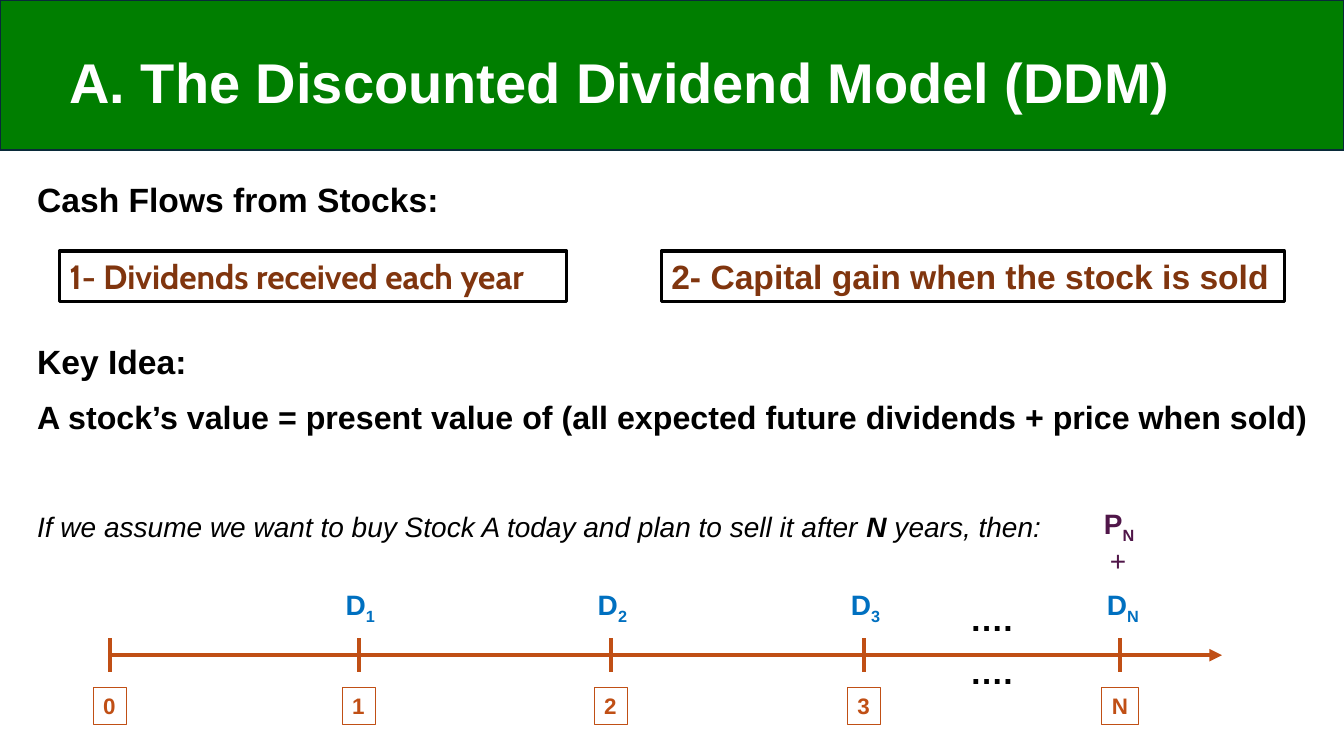
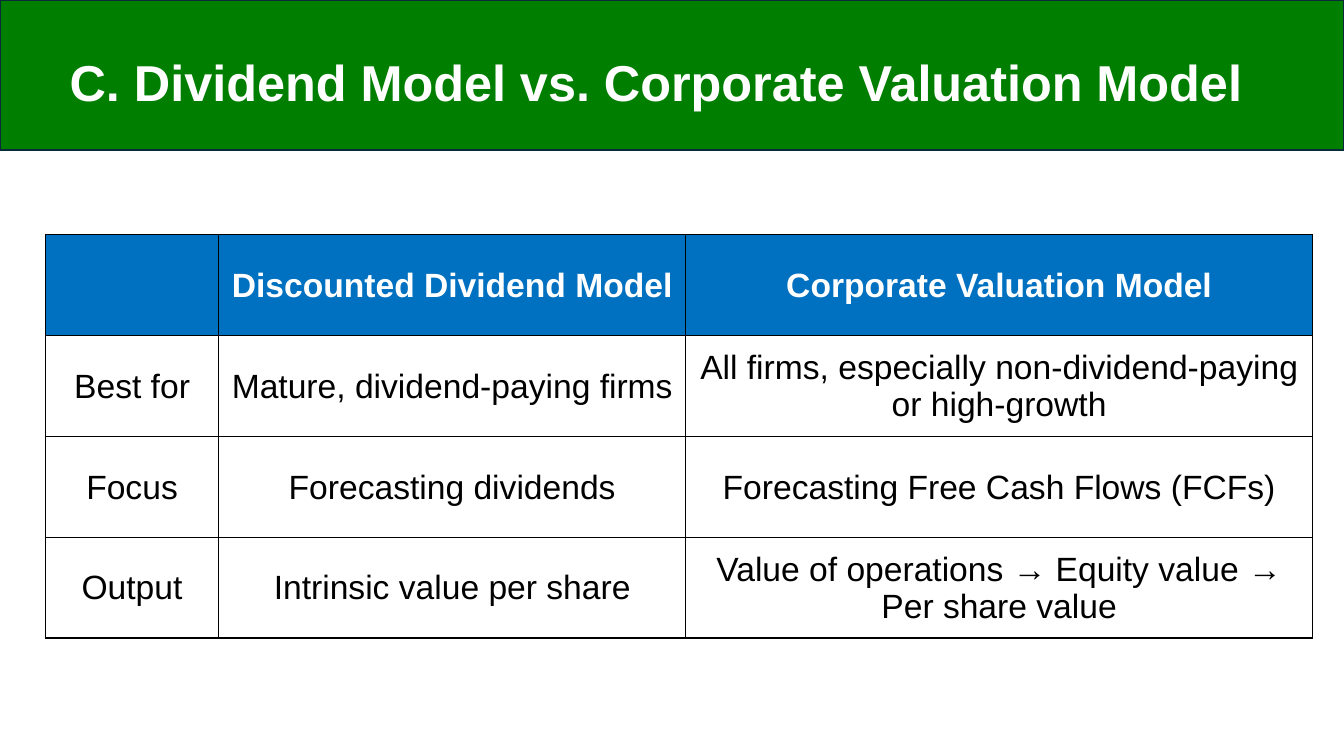
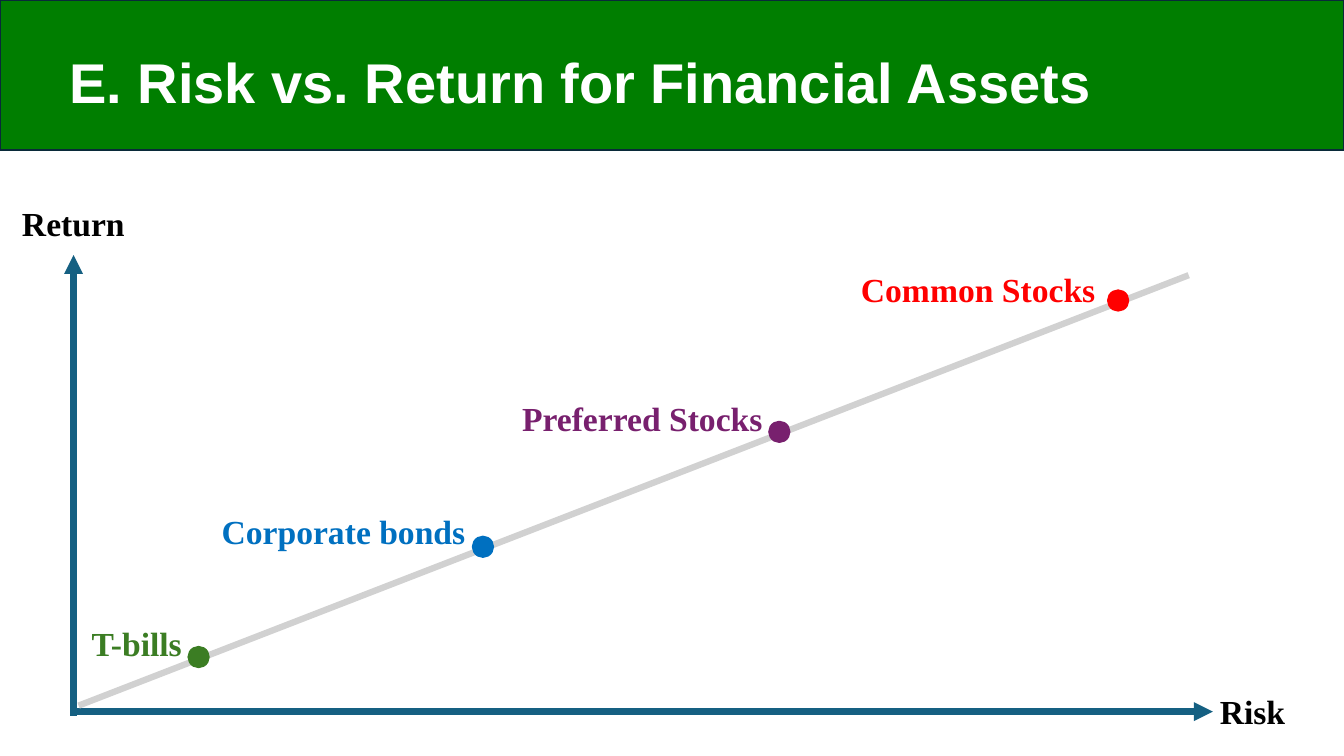
from lxml.etree import SubElement as Sub
from pptx import Presentation as Deck
from pptx.dml.color import RGBColor as RGB
from pptx.enum.shapes import MSO_CONNECTOR as Link, MSO_SHAPE as Form
from pptx.enum.text import MSO_ANCHOR as Anchor, MSO_AUTO_SIZE as Fit, PP_ALIGN as Align
from pptx.oxml.ns import qn
from pptx.util import Inches, Pt

GREEN = RGB(0x00, 0x7E, 0x00)
NAVY = RGB(0x09, 0x2A, 0x39)
WHITE = RGB(0xFF, 0xFF, 0xFF)
BLACK = RGB(0x00, 0x00, 0x00)
BROWN = RGB(0x80, 0x35, 0x0E)
RUST = RGB(0xC0, 0x4F, 0x15)
BLUE = RGB(0x00, 0x70, 0xC0)
PLUM = RGB(0x50, 0x16, 0x49)
TEAL = RGB(0x15, 0x60, 0x82)
GRAY = RGB(0xD1, 0xD1, 0xD1)
LEAF = RGB(0x3B, 0x7D, 0x23)
PURPLE = RGB(0x78, 0x20, 0x6E)
RED = RGB(0xFF, 0x00, 0x00)

HEAD = dict(name="Arial", size=Pt(24), bold=True, color=BLACK)
CASH = HEAD | dict(color=BROWN)
IDEA = HEAD | dict(size=Pt(23))
NOTE = HEAD | dict(size=Pt(20), bold=False, italic=True)
PAY = HEAD | dict(size=Pt(20), color=BLUE)
SALE = PAY | dict(color=PLUM)
YEAR = HEAD | dict(size=Pt(16), color=RUST)
AXIS = HEAD | dict(name="Times New Roman")
BODY = HEAD | dict(bold=False)
SUB = dict(base="-25000")

TITLES = [
    ("A. The Discounted Dividend Model (DDM)", 40),
    ("C. Dividend Model vs. Corporate Valuation Model", 36),
    ("E. Risk vs. Return for Financial Assets", 40),
]

FLOWS = [
    ("1- Dividends received each year", (0.59, 2.49, 5.03, 0.5), CASH | dict(name="Cabin")),
    ("2- Capital gain when the stock is sold", (6.56, 2.49, 6.18, 0.5), CASH),
]
PLAN = [
    ("If we assume we want to buy Stock A today and plan to sell it after ", NOTE),
    ("N ", NOTE | dict(bold=True)),
    ("years, then:", NOTE),
]
TICKS = [("0", 1.09), ("1", 3.56), ("2", 6.06), ("3", 8.57), ("N", 11.11)]

ROWS = [
    ("", "Discounted Dividend Model", "Corporate Valuation Model"),
    ("Best for", "Mature, dividend-paying firms",
     "All firms, especially non-dividend-paying or high-growth"),
    ("Focus", "Forecasting dividends", "Forecasting Free Cash Flows (FCFs)"),
    ("Output", "Intrinsic value per share",
     "Value of operations → Equity value → Per share value"),
]
COLS = [1.72, 4.63, 6.22]

ASSETS = [
    ("T-bills", LEAF, 1.97, (0.81, 6.13, 1.11, 0.5)),
    ("Corporate bonds", BLUE, 4.79, (2.1, 5.02, 2.64, 0.5)),
    ("Preferred Stocks", PURPLE, 7.73, (5.08, 3.9, 2.61, 0.5)),
    ("Common Stocks", RED, 11.09, (8.44, 2.62, 2.55, 0.5)),
]
TREND = (0.78, 6.98), (11.79, 2.71)
DOT = 0.2


def inch(vals):
    return [Inches(v) for v in vals]


def style(run, form):
    for key, val in form.items():
        if key == "color":
            run.font.color.rgb = val
        elif key == "base":
            run.font._element.set("baseline", val)
        else:
            setattr(run.font, key, val)


def write(para, runs):
    for text, form in runs:
        run = para.add_run()
        run.text = text
        style(run, form)


def edge(shape, color, width):
    shape.line.color.rgb = color
    shape.line.width = Pt(width)


def label(slide, at, *paras, wrap=False, gap=0):
    box = slide.shapes.add_textbox(*inch(at))
    frame = box.text_frame
    frame.word_wrap = wrap
    for num, runs in enumerate(paras):
        para = frame.add_paragraph() if num else frame.paragraphs[0]
        para.space_after = Pt(gap)
        if num:
            para.space_before = Pt(gap)
        write(para, runs)
    return box


def solid(slide, form, at, fill, line):
    shape = slide.shapes.add_shape(form, *inch(at))
    shape.shadow.inherit = False
    shape.fill.solid()
    shape.fill.fore_color.rgb = fill
    edge(shape, line, 1.5)
    return shape


def rule(slide, start, end, color, width, arrow=False):
    line = slide.shapes.add_connector(Link.STRAIGHT, *inch(start + end))
    edge(line, color, width)
    if arrow:
        Sub(line.line._get_or_add_ln(), qn("a:tailEnd"), type="triangle")
    Sub(line._element.spPr, qn("a:effectLst"))


def page(deck, text, size):
    slide = deck.slides.add_slide(deck.slide_layouts[5])
    band = solid(slide, Form.RECTANGLE, (0, 0, 13.33, 1.49), GREEN, NAVY)
    slide.shapes._spTree.insert(2, band._element)
    title = slide.shapes.title
    title.left, title.top, title.width, title.height = inch((0.59, 0.31, 12.14, 1.07))
    frame = title.text_frame
    frame.auto_size = Fit.NONE
    frame.vertical_anchor = Anchor.MIDDLE
    para = frame.paragraphs[0]
    para.alignment = Align.LEFT
    para.line_spacing = 0.9
    write(para, [(text, HEAD | dict(size=Pt(size), color=WHITE))])
    return slide


def flows(slide):
    label(slide, (0.27, 1.73, 4.28, 0.5), [("Cash Flows from Stocks:", HEAD)], wrap=True)
    for text, at, form in FLOWS:
        edge(label(slide, at, [(text, form)], wrap=form["name"] == "Cabin"), BLACK, 2.25)
    label(slide, (0.27, 3.33, 12.92, 1.06), [("Key Idea:", HEAD)],
          [("A stock’s value = present value of (all expected future dividends + price when sold)",
            IDEA)], wrap=True, gap=6)
    label(slide, (0.27, 5.01, 10.16, 0.44), PLAN)
    label(slide, (10.85, 4.98, 0.52, 0.44), [("P", SALE), ("N", SALE | SUB)])
    label(slide, (10.91, 5.34, 0.36, 0.44), [("+", SALE | dict(bold=False))])
    rule(slide, (TICKS[0][1], 6.5), (12.12, 6.5), RUST, 3, True)
    for num, (text, x) in enumerate(TICKS):
        wide = 0.36 if text == "N" else 0.33
        rule(slide, (x, 6.33), (x, 6.67), RUST, 3)
        edge(label(slide, (x - wide / 2, 6.82, wide, 0.37), [(text, YEAR)]), RUST, 0.75)
        if num:
            label(slide, (x - 0.23, 5.78, wide + 0.18, 0.44), [("D", PAY), (text, PAY | SUB)])
    for top in (5.88, 6.41):
        label(slide, (9.52, top, 0.63, 0.5), [("….", HEAD)])


def border(cell):
    props = cell._tc.get_or_add_tcPr()
    for side in "LRTB":
        line = Sub(props, qn("a:ln" + side), w=str(Pt(1)))
        Sub(Sub(line, qn("a:solidFill")), qn("a:srgbClr"), val=str(BLACK))


def models(slide):
    at = inch((0.45, 2.33, sum(COLS), len(ROWS)))
    grid = slide.shapes.add_table(len(ROWS), len(COLS), *at).table
    for col, wide in zip(grid.columns, COLS):
        col.width = Inches(wide)
    for r, row in enumerate(ROWS):
        form = BODY if r else HEAD | dict(color=WHITE)
        for c, text in enumerate(row):
            cell = grid.cell(r, c)
            border(cell)
            cell.fill.solid()
            cell.fill.fore_color.rgb = WHITE if r else BLUE
            cell.vertical_anchor = Anchor.MIDDLE
            for side in ("left", "right", "top"):
                setattr(cell, "margin_" + side, Inches(0.01))
            cell.margin_bottom = 0
            para = cell.text_frame.paragraphs[0]
            para.alignment = Align.CENTER
            if text:
                write(para, [(text, form)])


def risks(slide):
    rule(slide, (0.73, 7.06), (12.03, 7.06), TEAL, 4.5, True)
    rule(slide, (0.73, 7.1), (0.73, 2.53), TEAL, 4.5, True)
    label(slide, (12, 6.81, 0.86, 0.5), [("Risk", AXIS)])
    label(slide, (0.12, 1.96, 1.23, 0.5), [("Return", AXIS)])
    (x1, y1), (x2, y2) = TREND
    rule(slide, (x1, y1 + 0.02), (x2, y2 + 0.02), GRAY, 4.5)
    for text, color, x, at in ASSETS:
        y = y1 + (x - x1) * (y2 - y1) / (x2 - x1)
        label(slide, at, [(text, AXIS | dict(color=color))])
        solid(slide, Form.OVAL, (x - DOT / 2, y - DOT / 2, DOT, DOT), color, color)


def main():
    deck = Deck()
    deck.slide_width, deck.slide_height = inch((13.33, 7.5))
    for (text, size), fill in zip(TITLES, (flows, models, risks)):
        fill(page(deck, text, size))
    deck.save("out.pptx")


if __name__ == "__main__":
    main()
